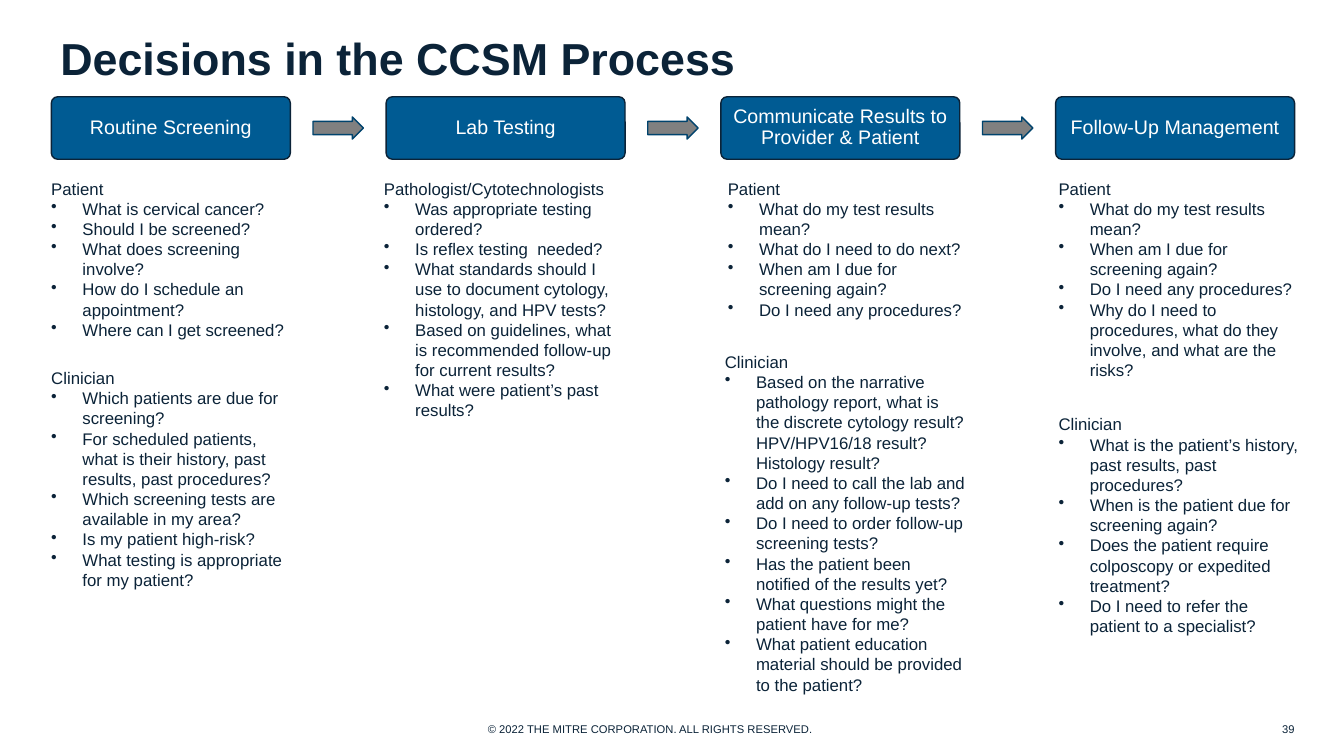
from dataclasses import dataclass

import pptx
import pptx.dml.color
import pptx.enum.shapes
import pptx.enum.text
import pptx.util
from lxml import etree
from pptx.util import Inches

KIND = pptx.enum.shapes.MSO_SHAPE
ALIGN = pptx.enum.text.PP_ALIGN
ANCHOR = pptx.enum.text.MSO_ANCHOR


@dataclass(frozen=True)
class Theme:
    font: str = "Arial"
    ink: str = "0B2338"
    white: str = "FFFFFF"
    blue: str = "005B93"
    gray: str = "808080"
    edge: str = "00436D"
    title: int = 32
    step: int = 14
    body: int = 12
    small: int = 8


THEME = Theme()

STEPS = ["Routine Screening", "Lab Testing",
         "Communicate Results to Provider & Patient", "Follow-Up Management"]
STEP_LEFT, STEP_TOP, STEP_WIDTH, STEP_HEIGHT = 0.51, 0.96, 2.37, 0.62
PITCH = 3.32
ARROW_WIDTH, ARROW_HEIGHT = 0.5, 0.22
LIST_WIDTH = 2.59

# left, top, height, role, questions
LISTS = [
    (0.41, 1.72, 1.72, "Patient", [
        "What is cervical cancer?",
        "Should I be screened?",
        "What does screening involve?",
        "How do I schedule an appointment?",
        "Where can I get screened?"]),
    (0.41, 3.6, 2.32, "Clinician", [
        "Which patients are due for screening?",
        "For scheduled patients, what is their history, past results, "
        "past procedures?",
        "Which screening tests are available in my area?",
        "Is my patient high-risk?",
        "What testing is appropriate for my patient?"]),
    (3.71, 1.72, 2.52, "Pathologist/Cytotechnologists", [
        "Was appropriate testing ordered?",
        "Is reflex testing  needed?",
        "What standards should I use to document cytology, histology, "
        "and HPV tests?",
        "Based on guidelines, what is recommended follow-up for current "
        "results?",
        "What were patient’s past results?"]),
    (7.12, 1.72, 1.51, "Patient", [
        "What do my test results mean?",
        "What do I need to do next?",
        "When am I due for screening again?",
        "Do I need any procedures?"]),
    (7.09, 3.44, 3.94, "Clinician", [
        "Based on the narrative pathology report, what is the discrete "
        "cytology result? HPV/HPV16/18 result? Histology result?",
        "Do I need to call the lab and add on any follow-up tests?",
        "Do I need to order follow-up screening tests?",
        "Has the patient been notified of the results yet?",
        "What questions might the patient have for me?",
        "What patient education material should be provided to the "
        "patient?"]),
    (10.4, 1.72, 2.12, "Patient", [
        "What do my test results mean?",
        "When am I due for screening again?",
        "Do I need any procedures?",
        "Why do I need to procedures, what do they involve, and what are "
        "the risks?"]),
    (10.4, 4.06, 2.52, "Clinician", [
        "What is the patient’s history, past results, past procedures?",
        "When is the patient due for screening again?",
        "Does the patient require colposcopy or expedited treatment?",
        "Do I need to refer the patient to a specialist?"]),
]


def color(code):
    return pptx.dml.color.RGBColor.from_string(code)


def add_run(para, text, size, ink=THEME.ink, bold=False):
    run = para.add_run()
    run.text = text
    run.font.name = THEME.font
    run.font.size = pptx.util.Pt(size)
    run.font.bold = bold
    run.font.color.rgb = color(ink)


def add_bullet(para):
    """Give the paragraph a round bullet with a hanging indent."""
    props = para._p.get_or_add_pPr()
    props.set("marL", str(Inches(0.31)))
    props.set("indent", str(-Inches(0.31)))
    mark = etree.SubElement(props, pptx.oxml.ns.qn("a:buChar"))
    mark.set("char", "•")


def add_box(slide, left, top, width, height, anchor=ANCHOR.TOP, wrap=True):
    box = slide.shapes.add_textbox(
        Inches(left), Inches(top), Inches(width), Inches(height))
    frame = box.text_frame
    frame.word_wrap = wrap
    frame.vertical_anchor = anchor
    return frame


def add_shape(slide, kind, left, top, width, height, fill, line):
    shape = slide.shapes.add_shape(
        kind, Inches(left), Inches(top), Inches(width), Inches(height))
    shape.shadow.inherit = False
    shape.fill.solid()
    shape.fill.fore_color.rgb = color(fill)
    shape.line.color.rgb = color(line)
    shape.line.width = pptx.util.Pt(1)
    return shape


def add_step(slide, left, text):
    shape = add_shape(slide, KIND.ROUNDED_RECTANGLE, left, STEP_TOP,
                      STEP_WIDTH, STEP_HEIGHT, THEME.blue, THEME.ink)
    shape.adjustments[0] = 0.1
    frame = shape.text_frame
    frame.word_wrap = True
    frame.vertical_anchor = ANCHOR.MIDDLE
    frame.margin_left = frame.margin_right = Inches(0.06)
    frame.margin_top = frame.margin_bottom = Inches(0.06)
    para = frame.paragraphs[0]
    para.alignment = ALIGN.CENTER
    para.line_spacing = 0.9
    add_run(para, text, THEME.step, THEME.white)


def add_arrow(slide, left):
    """Place an arrow in the middle of the gap that starts at left."""
    gap = PITCH - STEP_WIDTH
    shape = add_shape(slide, KIND.RIGHT_ARROW,
                      left + (gap - ARROW_WIDTH) / 2,
                      STEP_TOP + (STEP_HEIGHT - ARROW_HEIGHT) / 2,
                      ARROW_WIDTH, ARROW_HEIGHT, THEME.gray, THEME.edge)
    shape.adjustments[0] = 0.6


def add_list(slide, left, top, height, role, items):
    frame = add_box(slide, left, top, LIST_WIDTH, height)
    add_run(frame.paragraphs[0], role, THEME.body)
    for item in items:
        para = frame.add_paragraph()
        add_bullet(para)
        add_run(para, item, THEME.body)


def add_footer(slide):
    frame = add_box(slide, 4.74, 7.12, 3.51, 0.24, wrap=False)
    add_run(frame.paragraphs[0],
            "© 2022 THE MITRE CORPORATION. ALL RIGHTS RESERVED.", THEME.small)
    frame = add_box(slide, 11.96, 7.09, 0.88, 0.28, ANCHOR.MIDDLE)
    frame.margin_left = frame.margin_right = 0
    frame.paragraphs[0].alignment = ALIGN.RIGHT
    add_run(frame.paragraphs[0], "39", THEME.small)


def main():
    deck = pptx.Presentation()
    deck.slide_width, deck.slide_height = Inches(13.33), Inches(7.5)
    slide = deck.slides.add_slide(deck.slide_layouts[6])
    title = add_box(slide, 0.5, 0.19, 12.33, 0.76, ANCHOR.MIDDLE)
    add_run(title.paragraphs[0], "Decisions in the CCSM Process",
            THEME.title, bold=True)
    for index, step in enumerate(STEPS):
        left = STEP_LEFT + index * PITCH
        add_step(slide, left, step)
        if index < len(STEPS) - 1:
            add_arrow(slide, left + STEP_WIDTH)
    for entry in LISTS:
        add_list(slide, *entry)
    add_footer(slide)
    deck.save("out.pptx")


if __name__ == "__main__":
    main()
